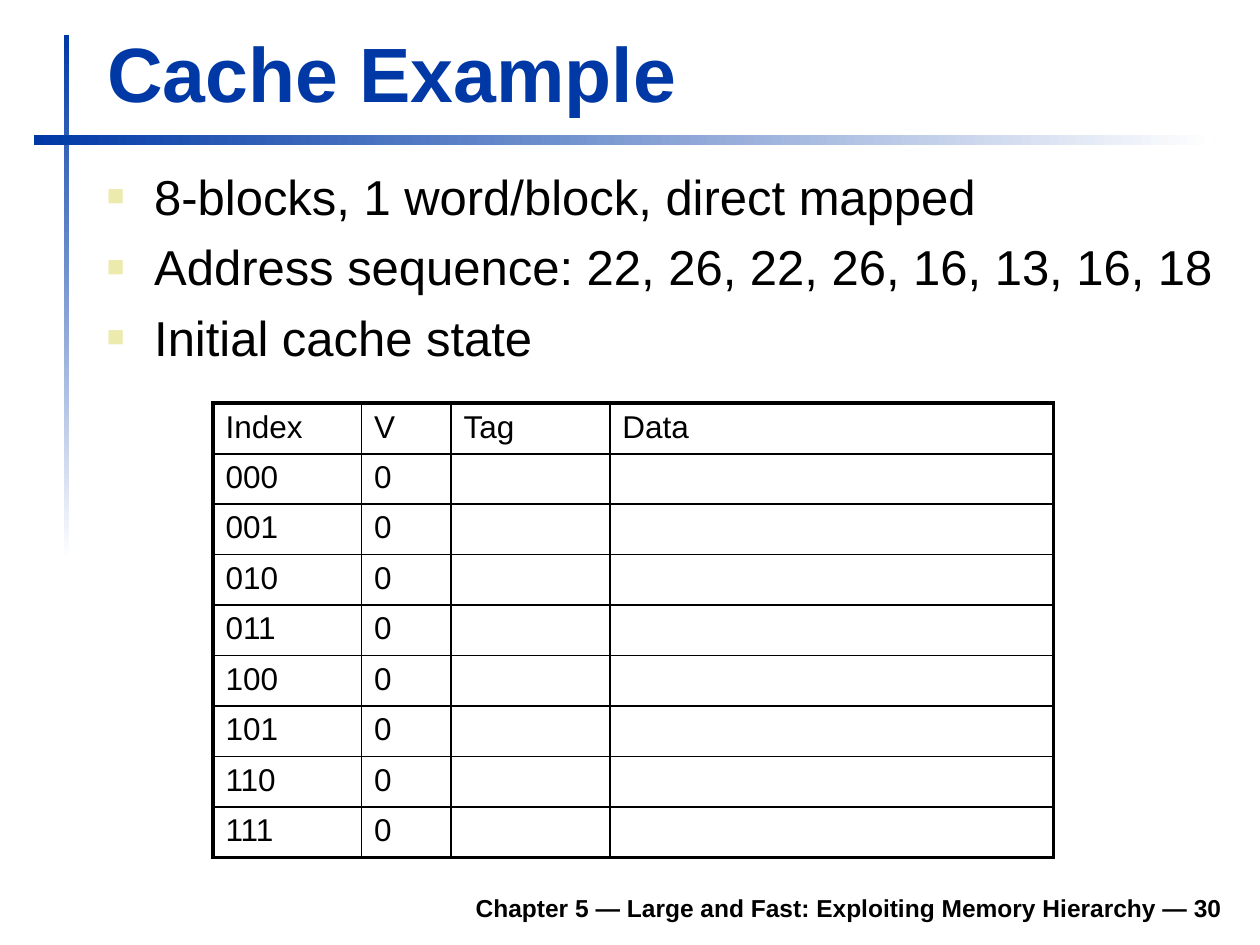
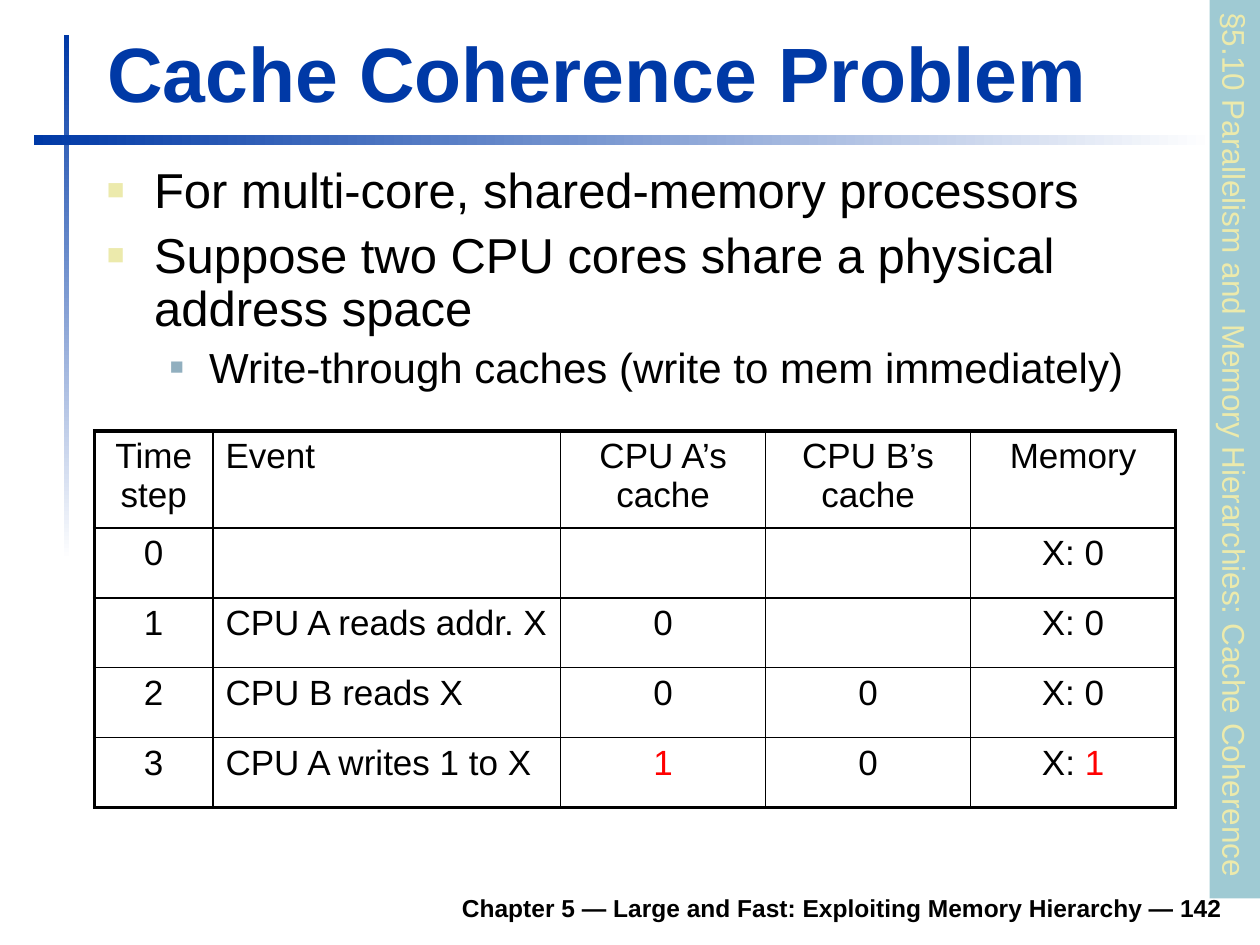
from collections import namedtuple

from lxml import etree
from pptx import Presentation
from pptx.dml.color import RGBColor
from pptx.enum.shapes import MSO_SHAPE
from pptx.enum.text import MSO_ANCHOR, PP_ALIGN
from pptx.oxml.ns import qn
from pptx.util import Inches, Pt

RECTANGLE = MSO_SHAPE.RECTANGLE
BOTTOM, TOP = MSO_ANCHOR.BOTTOM, MSO_ANCHOR.TOP
LEFT, CENTER, RIGHT = PP_ALIGN.LEFT, PP_ALIGN.CENTER, PP_ALIGN.RIGHT

BLUE = RGBColor(0x00, 0x39, 0xA6)
WHITE = RGBColor(0xFF, 0xFF, 0xFF)
BLACK = RGBColor(0x00, 0x00, 0x00)
RED = RGBColor(0xFF, 0x00, 0x00)
SAND = RGBColor(0xEC, 0xEA, 0xAC)
STEEL = RGBColor(0x91, 0xAF, 0xBF)
AQUA = RGBColor(0x9F, 0xCA, 0xD3)

FONT = "Arial"
SLIDE_WIDTH, SLIDE_HEIGHT = Inches(10), Inches(7.5)
COLUMN, ROW = SLIDE_WIDTH / 100, SLIDE_HEIGHT / 75
OUTER, HEADER, INNER = 2.25, 1.5, 1
FOOTER = "Chapter 5 — Large and Fast: Exploiting Memory Hierarchy — {}"

Box = namedtuple("Box", "left top width height")
Level = namedtuple("Level", "size indent hanging color scale")
LEVELS = [Level(28, 3.75, 3.75, SAND, 60), Level(24, 8.12, 3.12, STEEL, 55)]

VERTICAL_BAND = Box(5.1, 2.8, 0.4, 41.7)
HORIZONTAL_BAND = Box(2.7, 10.7, 93.7, 0.8)
TITLE_BOX = Box(7.5, 1.6, 90.3, 8.3)
FOOTER_BOX = Box(18.5, 69.8, 79.5, 3.9)
SIDEBAR_BOX = Box(96, 0, 4, 71.3)


def columns(count):
    return round(count * COLUMN)


def rows(count):
    return round(count * ROW)


def placed(box):
    return columns(box.left), rows(box.top), columns(box.width), rows(box.height)


def style_runs(paragraph, size, color=BLACK, bold=False):
    for run in paragraph.runs:
        run.font.name = FONT
        run.font.size = Pt(size)
        run.font.bold = bold
        run.font.color.rgb = color


def add_rectangle(slide, box):
    shape = slide.shapes.add_shape(RECTANGLE, *placed(box))
    shape.shadow.inherit = False
    shape.line.fill.background()
    return shape


def add_band(slide, box, angle):
    fill = add_rectangle(slide, box).fill
    fill.gradient()
    fill.gradient_angle = angle
    for stop, color, position in zip(fill.gradient_stops, (BLUE, WHITE), (0, 1)):
        stop.color.rgb = color
        stop.position = position


def add_title(slide, text):
    title = slide.shapes.title
    title.left, title.top, title.width, title.height = placed(TITLE_BOX)
    frame = title.text_frame
    frame.text = text
    frame.vertical_anchor = BOTTOM
    frame.paragraphs[0].alignment = LEFT
    style_runs(frame.paragraphs[0], 44, BLUE, True)


def add_footer(slide, number):
    frame = slide.shapes.add_textbox(*placed(FOOTER_BOX)).text_frame
    frame.word_wrap = True
    frame.vertical_anchor = BOTTOM
    frame.text = FOOTER.format(number)
    frame.paragraphs[0].alignment = RIGHT
    style_runs(frame.paragraphs[0], 14, bold=True)


def start_slide(presentation, title, number):
    slide = presentation.slides.add_slide(presentation.slide_layouts.get_by_name("Title Only"))
    add_band(slide, VERTICAL_BAND, 270)
    add_band(slide, HORIZONTAL_BAND, 0)
    add_footer(slide, number)
    add_title(slide, title)
    return slide


def set_bullet(paragraph, level):
    properties = paragraph._p.get_or_add_pPr()
    properties.set("marL", str(columns(level.indent)))
    properties.set("indent", str(-columns(level.hanging)))
    color = etree.SubElement(properties, qn("a:buClr"))
    etree.SubElement(color, qn("a:srgbClr"), val=str(level.color))
    etree.SubElement(properties, qn("a:buSzPct"), val=str(level.scale * 1000))
    etree.SubElement(properties, qn("a:buFont"), typeface=FONT)
    etree.SubElement(properties, qn("a:buChar"), char="■")


def add_bullets(slide, box, items, line_spacing=1.0):
    frame = slide.shapes.add_textbox(*placed(box)).text_frame
    frame.word_wrap = True
    for index, (depth, text) in enumerate(items):
        paragraph = frame.add_paragraph() if index else frame.paragraphs[0]
        level = LEVELS[depth]
        paragraph.text = text
        paragraph.level = depth
        set_bullet(paragraph, level)
        paragraph.line_spacing = line_spacing
        if index:
            paragraph.space_before = Pt(level.size * 0.24)
        style_runs(paragraph, level.size)


def set_borders(cell, widths):
    properties = cell._tc.get_or_add_tcPr()
    for index, (side, width) in enumerate(zip("LRTB", widths)):
        line = etree.Element(qn(f"a:ln{side}"), w=str(Pt(width)))
        fill = etree.SubElement(line, qn("a:solidFill"))
        etree.SubElement(fill, qn("a:srgbClr"), val=str(BLACK))
        properties.insert(index, line)


def fill_cell(cell, content, size, alignment):
    plain, changed = content if isinstance(content, tuple) else (content, "")
    paragraph = cell.text_frame.paragraphs[0]
    paragraph.text = plain
    paragraph.alignment = alignment
    style_runs(paragraph, size)
    if changed:
        run = paragraph.add_run()
        run.text = changed
        run.font.name, run.font.size = FONT, Pt(size)
        run.font.color.rgb = RED
    cell.vertical_anchor = TOP
    cell.fill.background()


def add_grid(slide, box, records, column_widths, row_heights, size, alignments, header_line):
    last_row, last_column = len(records) - 1, len(column_widths) - 1
    frame = slide.shapes.add_table(last_row + 1, last_column + 1, *placed(box))
    table = frame.table
    table.first_row = table.horz_banding = False
    for column, width in zip(table.columns, column_widths):
        column.width = columns(width)
    for row, height in zip(table.rows, row_heights):
        row.height = rows(height)
    horizontal = [OUTER, header_line] + [INNER] * (last_row - 1) + [OUTER]
    vertical = [OUTER] + [INNER] * last_column + [OUTER]
    for y, record in enumerate(records):
        for x, content in enumerate(record):
            cell = table.cell(y, x)
            fill_cell(cell, content, size, alignments[x])
            set_borders(cell, (*vertical[x:x + 2], *horizontal[y:y + 2]))


def add_sidebar(slide, box, text):
    center_x, center_y = box.left + box.width / 2, box.top + box.height / 2
    unrotated = Box(center_x - box.height / 2, center_y - box.width / 2, box.height, box.width)
    shape = add_rectangle(slide, unrotated)
    shape.rotation = 90
    shape.fill.solid()
    shape.fill.fore_color.rgb = AQUA
    frame = shape.text_frame
    frame.word_wrap = False
    frame.vertical_anchor = TOP
    frame.text = text
    frame.paragraphs[0].alignment = LEFT
    style_runs(frame.paragraphs[0], 18, SAND)


def build_cache_example(presentation):
    slide = start_slide(presentation, "Cache Example", 30)
    add_bullets(slide, Box(7.5, 12.7, 90.5, 14.6), [
        (0, "8-blocks, 1 word/block, direct mapped"),
        (0, "Address sequence: 22, 26, 22, 26, 16, 13, 16, 18"),
        (0, "Initial cache state"),
    ])
    records = [("Index", "V", "Tag", "Data")]
    records += [(f"{index:03b}", "0", "", "") for index in range(8)]
    add_grid(slide, Box(16.9, 32, 66.7, 36), records, (11.8, 7.1, 12.6, 35.2),
             [4] * 9, 18, [LEFT] * 4, HEADER)


def build_coherence_problem(presentation):
    slide = start_slide(presentation, "Cache Coherence Problem", 142)
    add_bullets(slide, Box(7.5, 12.7, 84.3, 14.9), [
        (0, "For multi-core, shared-memory processors"),
        (0, "Suppose two CPU cores share a physical address space"),
        (1, "Write-through caches (write to mem immediately)"),
    ], 0.9)
    add_sidebar(slide, SIDEBAR_BOX, "§5.10 Parallelism and Memory Hierarchies: Cache Coherence")
    records = [
        ("Time step", "Event", "CPU A’s cache", "CPU B’s cache", "Memory"),
        ("0", "", "", "", "X: 0"),
        ("1", "CPU A reads addr. X", "0", "", "X: 0"),
        ("2", "CPU B reads X", "0", "0", "X: 0"),
        ("3", "CPU A writes 1 to X", ("", "1"), "0", ("X: ", "1")),
    ]
    add_grid(slide, Box(7.5, 34.2, 85.8, 29.9), records, (9.4, 27.6, 16.27, 16.27, 16.27),
             [7.7] + [5.55] * 4, 20, [CENTER, LEFT, CENTER, CENTER, CENTER], INNER)


def main():
    presentation = Presentation()
    presentation.slide_width, presentation.slide_height = SLIDE_WIDTH, SLIDE_HEIGHT
    build_cache_example(presentation)
    build_coherence_problem(presentation)
    presentation.save("out.pptx")


if __name__ == "__main__":
    main()
